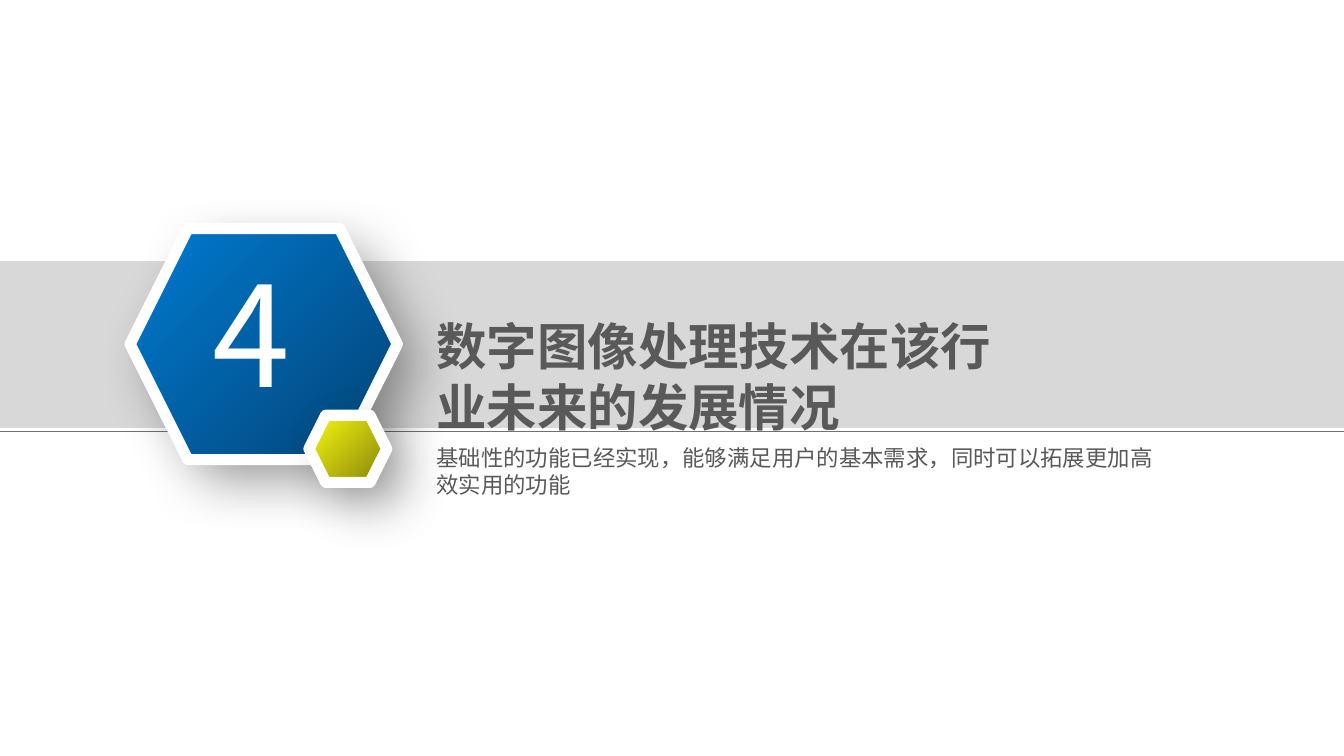
import pptx
import pptx.util
import pptx.dml.color
import pptx.enum.shapes
import pptx.oxml
import pptx.oxml.ns
from pptx.util import Cm

FONT = "Noto Sans CJK SC"
SHADOW = (
    f'<a:effectLst {pptx.oxml.ns.nsdecls("a")}>'
    '<a:outerShdw blurRad="381000" dist="190500" dir="2700000" algn="tl" rotWithShape="0">'
    '<a:srgbClr val="000000"><a:alpha val="40000"/></a:srgbClr>'
    "</a:outerShdw></a:effectLst>"
)


def color(value):
    return pptx.dml.color.RGBColor.from_string(value)


def add_shape(kind, left, top, width, height):
    shape = slide.shapes.add_shape(kind, Cm(left), Cm(top), Cm(width), Cm(height))
    shape.shadow.inherit = False
    return shape


presentation = pptx.Presentation()
presentation.slide_width = Cm(25.4)
presentation.slide_height = Cm(14.29)
slide = presentation.slides.add_slide(presentation.slide_layouts[6])
shape_types = pptx.enum.shapes.MSO_SHAPE

# Grey band over a half-transparent strip whose lower edge shows as a thin line
for top, height, fill, line, line_width, opacity in [
    (5.93, 2.18, "757070", "757070", 3, 50),
    (4.9, 3.22, "D8D8D8", "FFFFFF", 1.5, 100),
]:
    band = add_shape(shape_types.RECTANGLE, -0.2, top, 25.78, height)
    band.fill.solid()
    band.fill.fore_color.rgb = color(fill)
    band.line.color.rgb = color(line)
    band.line.width = pptx.util.Pt(line_width)
    if opacity < 100:
        fill_color = band.fill._xPr.find(".//" + pptx.oxml.ns.qn("a:srgbClr"))
        alpha = pptx.oxml.parse_xml(
            f'<a:alpha {pptx.oxml.ns.nsdecls("a")} val="{opacity * 1000}"/>')
        fill_color.append(alpha)

# Hexagons: a shadowed base under a white-edged face
for box, face_colors in [
    ((2.46, 4.32, 5.05, 4.37), ("007BD3", "034373")),
    ((5.84, 7.85, 1.47, 1.27), ("FBFB11", "838309")),
]:
    for is_base, colors, angle in [
        (True, ("D4D4D4", "FFFFFF"), 135),
        (False, face_colors, 315),
    ]:
        hexagon = add_shape(shape_types.HEXAGON, *box)
        hexagon.fill.gradient()
        hexagon.fill.gradient_angle = angle
        for stop, value in zip(hexagon.fill.gradient_stops, colors):
            stop.color.rgb = color(value)
        if is_base:
            hexagon.line.fill.background()
            properties = hexagon._element.spPr
            properties.remove(properties.find(pptx.oxml.ns.qn("a:effectLst")))
            properties.append(pptx.oxml.parse_xml(SHADOW))
        else:
            hexagon.line.color.rgb = color("FFFFFF")
            hexagon.line.width = pptx.util.Pt(6)

# Title, subtitle and section number
for text, left, top, width, height, size, value, bold in [
    ("数字图像处理技术在该行业未来的发展情况", 8, 5.84, 11.48, 2.57, 27, "595959", True),
    ("基础性的功能已经实现，能够满足用户的基本需求，同时可以拓展更加高效实用的功能",
     8, 8.28, 14.45, 1.27, 12, "595959", False),
    ("4", 3.76, 4.55, 2.41, 3.66, 75, "FFFFFF", False),
]:
    text_box = slide.shapes.add_textbox(Cm(left), Cm(top), Cm(width), Cm(height))
    text_frame = text_box.text_frame
    text_frame.word_wrap = True
    text_frame.text = text
    run = text_frame.paragraphs[0].runs[0]
    run.font.size = pptx.util.Pt(size)
    run.font.bold = bold
    run.font.color.rgb = color(value)
    run.font.name = FONT
    east_asian = pptx.oxml.parse_xml(
        f'<a:ea {pptx.oxml.ns.nsdecls("a")} typeface="{FONT}"/>')
    run.font._element.append(east_asian)

presentation.save("out.pptx")
